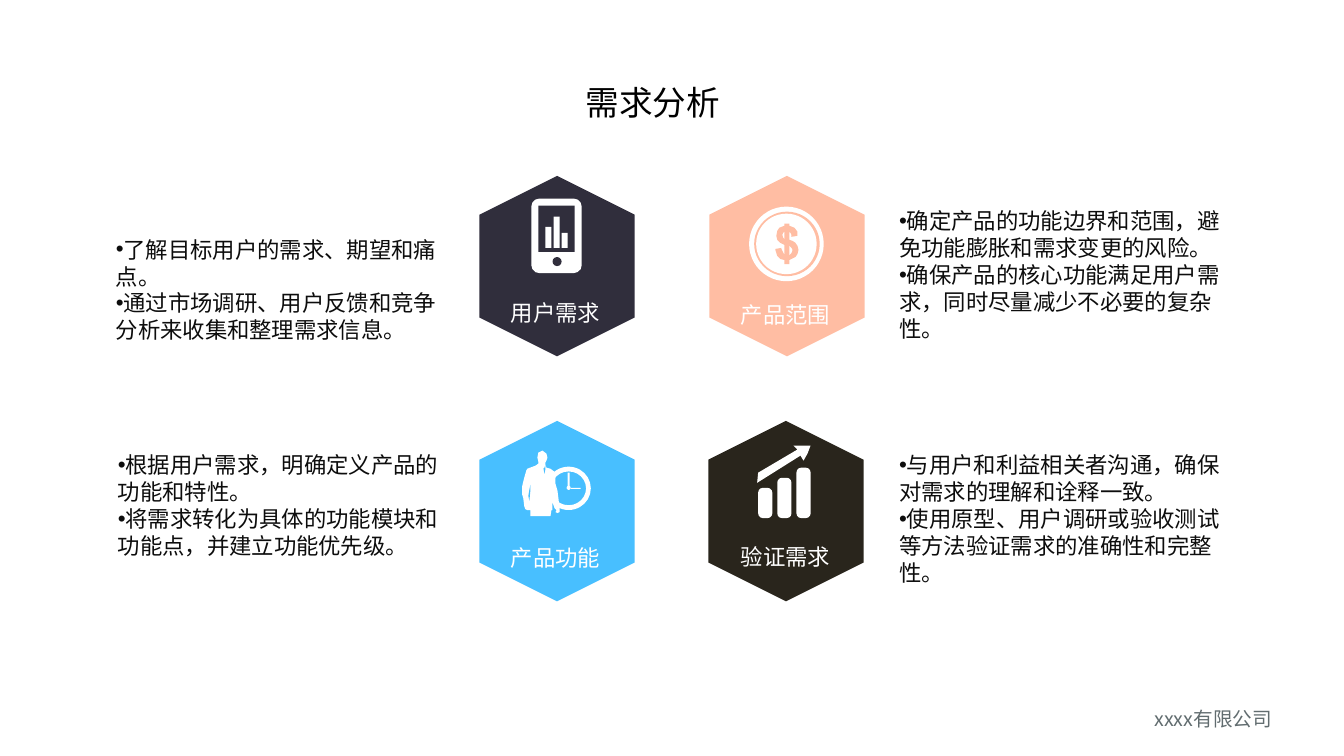
from dataclasses import dataclass

import pptx
import pptx.util
import pptx.dml.color
import pptx.enum.shapes
import pptx.enum.text
import pptx.oxml
import pptx.oxml.ns
import pptx.shapes.autoshape
import pptx.slide
import pptx.text.text

PX = 9144  # EMU, 100 px to the inch
COLORS = {
    "ink": "302E3C", "peach": "FFBDA3", "sky": "48BFFF", "coal": "29251C",
    "white": "FFFFFF", "title": "000000", "body": "0D0D0D", "footer": "616C6F",
}
CJK_FONT = "Noto Sans CJK SC"
SHAPE = pptx.enum.shapes.MSO_SHAPE
Points = list[tuple[int, int]]


@dataclass(frozen=True)
class Box:
    left: int
    top: int
    width: int
    height: int

    def emu(self) -> list[int]:
        return [value * PX for value in (self.left, self.top, self.width, self.height)]


@dataclass(frozen=True)
class TextStyle:
    size: int
    color: str
    latin: str = CJK_FONT
    leading: float = 1.32
    bullet: bool = False


@dataclass(frozen=True)
class Topic:
    hexagon: Box
    color: str
    label: str
    label_box: Box
    details: tuple[str, str]
    details_box: Box


@dataclass(frozen=True)
class Part:
    """A preset shape of an icon."""
    preset: SHAPE
    box: Box
    color: str = "white"
    adjustment: float | None = None


@dataclass(frozen=True)
class Outline:
    """A closed polygon of an icon."""
    points: Points
    color: str = "white"


TITLE = TextStyle(24, "title")
LABEL = TextStyle(16, "white")
DETAILS = TextStyle(16, "body", "Arial", 1.2, True)
FOOTER = TextStyle(14, "footer")

TOPICS = [
    Topic(Box(463, 187, 179, 154), "ink", "用户需求", Box(497, 289, 123, 37),
          ("了解目标用户的需求、期望和痛点。",
           "通过市场调研、用户反馈和竞争分析来收集和整理需求信息。"),
          Box(105, 229, 346, 118)),
    Topic(Box(463, 430, 179, 154), "sky", "产品功能", Box(497, 532, 123, 37),
          ("根据用户需求，明确定义产品的功能和特性。",
           "将需求转化为具体的功能模块和功能点，并建立功能优先级。"),
          Box(107, 443, 346, 118)),
    Topic(Box(690, 430, 179, 154), "coal", "验证需求", Box(725, 531, 121, 37),
          ("与用户和利益相关者沟通，确保对需求的理解和诠释一致。",
           "使用原型、用户调研或验收测试等方法验证需求的准确性和完整性。"),
          Box(882, 443, 346, 145)),
    Topic(Box(691, 187, 179, 154), "peach", "产品范围", Box(725, 291, 126, 37),
          ("确定产品的功能边界和范围，避免功能膨胀和需求变更的风险。",
           "确保产品的核心功能满足用户需求，同时尽量减少不必要的复杂性。"),
          Box(882, 201, 346, 145)),
]

PHONE = [
    Part(SHAPE.ROUNDED_RECTANGLE, Box(527, 197, 50, 74), adjustment=0.16),
    Part(SHAPE.RECTANGLE, Box(534, 204, 36, 46), "ink"),
    Part(SHAPE.OVAL, Box(548, 255, 9, 9), "ink"),
    *(Part(SHAPE.RECTANGLE, Box(541 + 8 * i, 246 - height, 6, height))
      for i, height in enumerate((21, 31, 15))),
]

MAN_AND_CLOCK = [
    Part(SHAPE.DONUT, Box(542, 463, 44, 43), adjustment=0.11),
    Part(SHAPE.OVAL, Box(562, 482, 4, 4)),
    Part(SHAPE.RECTANGLE, Box(566, 484, 10, 1)),
    Part(SHAPE.RECTANGLE, Box(563, 469, 2, 13)),
    Outline([
        (550, 468), (546, 465), (542, 464), (541, 461), (541, 459), (542, 457),
        (543, 454), (542, 450), (538, 447), (534, 449), (533, 454), (534, 458),
        (534, 460), (531, 462), (523, 465), (522, 467), (520, 474), (518, 482),
        (518, 491), (519, 494), (520, 502), (521, 505), (523, 506), (526, 506),
        (526, 512), (546, 512), (547, 506), (548, 506), (548, 498), (550, 504),
        (552, 506), (551, 508), (553, 509), (555, 508), (555, 504), (554, 495),
        (553, 487), (551, 480), (551, 473),
    ]),
    Outline([(526, 487), (525, 497), (524, 492), (525, 486), (526, 481)], "sky"),
    Outline([(541, 465), (540, 470), (539, 465), (540, 464), (541, 461)], "sky"),
]

GROWTH_CHART = [
    Outline([(797, 457), (801, 450), (804, 442), (787, 442), (791, 446),
             (752, 469), (751, 479), (794, 452)]),
    *(Part(SHAPE.ROUNDED_RECTANGLE, Box(752 + 19 * i, 514 - height, 14, height),
           adjustment=0.33)
      for i, height in enumerate((30, 40, 50))),
]

COIN = [
    Part(SHAPE.OVAL, Box(743, 205, 74, 74)),
    Part(SHAPE.OVAL, Box(748, 210, 65, 64), "peach"),
    Part(SHAPE.OVAL, Box(750, 212, 60, 60)),
    Outline([
        (789, 255), (783, 258), (783, 262), (778, 262), (778, 258), (774, 257),
        (771, 254), (769, 248), (769, 247), (775, 246), (775, 247), (777, 251),
        (778, 253), (778, 243), (774, 241), (771, 238), (770, 234), (771, 229),
        (773, 226), (778, 224), (778, 222), (783, 222), (783, 224), (788, 226),
        (791, 230), (791, 234), (785, 235), (785, 233), (784, 231), (783, 230),
        (783, 238), (786, 239), (789, 241), (791, 244), (792, 248), (791, 252),
    ], "peach"),
    Outline([(783, 244), (783, 253), (785, 251), (786, 248), (785, 246)]),
    Outline([(776, 233), (777, 236), (778, 237), (778, 230), (777, 231)]),
]


def rgb(name: str) -> pptx.dml.color.RGBColor:
    return pptx.dml.color.RGBColor.from_string(COLORS[name])


def paint(shape: pptx.shapes.autoshape.Shape, color: str) -> None:
    shape.shadow.inherit = False
    shape.fill.solid()
    shape.fill.fore_color.rgb = rgb(color)
    shape.line.fill.background()


def add_part(slide: pptx.slide.Slide, part: Part) -> pptx.shapes.autoshape.Shape:
    shape = slide.shapes.add_shape(part.preset, *part.box.emu())
    if part.adjustment is not None:
        shape.adjustments[0] = part.adjustment
    paint(shape, part.color)
    return shape


def add_outline(slide: pptx.slide.Slide, outline: Outline) -> None:
    builder = slide.shapes.build_freeform(*outline.points[0], scale=PX)
    builder.add_line_segments(outline.points[1:], close=True)
    paint(builder.convert_to_shape(), outline.color)


def add_bullet(paragraph: pptx.text.text._Paragraph) -> None:
    properties = paragraph._p.get_or_add_pPr()
    properties.set("marL", "0")
    properties.set("indent", "0")
    for tag, name, value in (("buFont", "typeface", "Arial"), ("buChar", "char", "•")):
        element = pptx.oxml.parse_xml(f'<a:{tag} {pptx.oxml.ns.nsdecls("a")} {name}="{value}"/>')
        properties.append(element)


def add_text(slide: pptx.slide.Slide, box: Box, lines: tuple[str, ...], style: TextStyle) -> None:
    text_frame = slide.shapes.add_textbox(*box.emu()).text_frame
    text_frame.word_wrap = True
    text_frame.auto_size = pptx.enum.text.MSO_AUTO_SIZE.SHAPE_TO_FIT_TEXT
    text_frame.text = "\n".join(lines)
    for paragraph in text_frame.paragraphs:
        if style.bullet:
            add_bullet(paragraph)
        paragraph.line_spacing = pptx.util.Pt(style.size * style.leading)
        for run in paragraph.runs:
            run.font.size = pptx.util.Pt(style.size)
            run.font.name = style.latin
            run.font.color.rgb = rgb(style.color)
            run._r.get_or_add_rPr().append(pptx.oxml.parse_xml(
                f'<a:ea {pptx.oxml.ns.nsdecls("a")} typeface="{CJK_FONT}"/>'))


def main() -> None:
    presentation = pptx.Presentation()
    presentation.slide_width = 1333 * PX
    presentation.slide_height = 750 * PX
    slide = presentation.slides.add_slide(presentation.slide_layouts[6])

    add_text(slide, Box(571, 72, 189, 50), ("需求分析",), TITLE)
    for topic, icon in zip(TOPICS, (PHONE, MAN_AND_CLOCK, GROWTH_CHART, COIN)):
        add_part(slide, Part(SHAPE.HEXAGON, topic.hexagon, topic.color)).rotation = 90
        for piece in icon:
            if isinstance(piece, Part):
                add_part(slide, piece)
            else:
                add_outline(slide, piece)
        add_text(slide, topic.label_box, (topic.label,), LABEL)
        add_text(slide, topic.details_box, topic.details, DETAILS)
    add_text(slide, Box(1135, 694, 198, 34), ("xxxx有限公司",), FOOTER)
    presentation.save("out.pptx")


if __name__ == "__main__":
    main()
